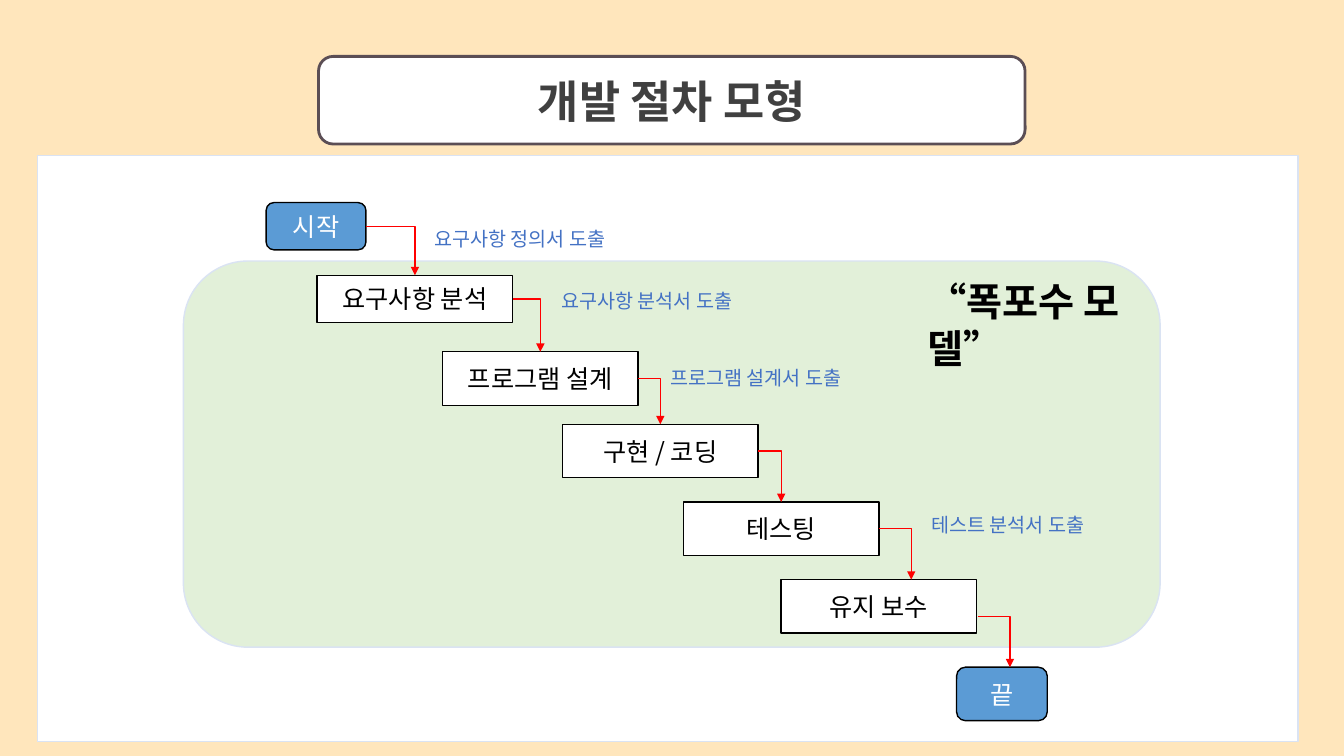
"""Build the waterfall development model slide."""
import dataclasses

import lxml.etree
import pptx
import pptx.dml.color
import pptx.enum.shapes
import pptx.enum.text
import pptx.oxml.ns
import pptx.util

Pt = pptx.util.Pt
Color = pptx.dml.color.RGBColor.from_string
Shapes = pptx.enum.shapes.MSO_SHAPE
qn = pptx.oxml.ns.qn


@dataclasses.dataclass(frozen=True)
class Theme:
    font: str = "Noto Sans CJK KR"
    background: str = "FFE6BC"
    white: str = "FFFFFF"
    black: str = "000000"
    panel_line: str = "DAE3F3"
    title_line: str = "5B4E55"
    title_text: str = "404040"
    phase_area: str = "E2F0D9"
    terminal: str = "5B9BD5"
    arrow: str = "FF0000"
    output: str = "4472C4"
    title_size: int = 32
    model_size: int = 28
    step_size: int = 18
    output_size: int = 14


theme = Theme()
presentation = pptx.Presentation()
presentation.slide_width = Pt(960)
presentation.slide_height = Pt(540)
slide = presentation.slides.add_slide(presentation.slide_layouts[5])
slide.background.fill.solid()
slide.background.fill.fore_color.rgb = Color(theme.background)


def add_box(kind, box, fill, line, width=1):
    shape = slide.shapes.add_shape(kind, *map(Pt, box))
    shape.shadow.inherit = False
    shape.fill.solid()
    shape.fill.fore_color.rgb = Color(fill)
    shape.line.color.rgb = Color(line)
    shape.line.width = Pt(width)
    return shape


def write(shape, text, size, color, bold=False, centered=True):
    frame = shape.text_frame
    paragraph = frame.paragraphs[0]
    if centered:
        frame.vertical_anchor = pptx.enum.text.MSO_ANCHOR.MIDDLE
        paragraph.alignment = pptx.enum.text.PP_ALIGN.CENTER
    run = paragraph.add_run()
    run.text = text
    run.font.size = Pt(size)
    run.font.bold = bold
    run.font.color.rgb = Color(color)
    run.font.name = theme.font
    east_asian = lxml.etree.SubElement(run.font._element, qn("a:ea"))
    east_asian.set("typeface", theme.font)


add_box(Shapes.RECTANGLE, (26.6, 110.9, 900.7, 419), theme.white, theme.panel_line)

title_box = (227.5, 40.3, 504.7, 62.6)
add_box(Shapes.ROUNDED_RECTANGLE, title_box, theme.white, theme.title_line, 2)
title = slide.shapes.title
title.left, title.top, title.width, title.height = map(Pt, title_box)
write(title, "개발 절차 모형", theme.title_size, theme.title_text, bold=True)
slide.shapes._spTree.append(title._element)

add_box(Shapes.ROUNDED_RECTANGLE, (131, 186.5, 697.7, 275.8), theme.phase_area, theme.panel_line)

step_width, step_height, first_height = 139.7, 38.2, 33.8
terminal_style = (Shapes.ROUNDED_RECTANGLE, theme.terminal, theme.white)
step_style = (Shapes.RECTANGLE, theme.white, theme.black)
stages = [
    ("시작", (190.1, 144.7, 71.3, first_height), terminal_style),
    ("요구사항 분석", (226.5, 196.6, step_width, first_height), step_style),
    ("프로그램 설계", (316.1, 251.3, step_width, step_height), step_style),
    ("구현 / 코딩", (401.8, 303.1, step_width, step_height), step_style),
    ("테스팅", (488.2, 358.6, step_width, step_height), step_style),
    ("유지 보수", (558, 414, step_width, step_height), step_style),
    ("끝", (683.3, 476.6, 64.8, step_height), terminal_style),
]
nodes = []
for text, box, (kind, fill, color) in stages:
    node = add_box(kind, box, fill, theme.black)
    write(node, text, theme.step_size, color)
    nodes.append(node)

free_arrows = {"유지 보수": (627.9, 377.7, 650.9, 414), "끝": (698.4, 440.6, 721.4, 476.6)}
for source, target in zip(nodes, nodes[1:]):
    ends = free_arrows.get(target.text_frame.text, (0, 0, 0, 0))
    arrow = slide.shapes.add_connector(pptx.enum.shapes.MSO_CONNECTOR.ELBOW, *map(Pt, ends))
    if target.text_frame.text not in free_arrows:
        arrow.begin_connect(source, 3)
        arrow.end_connect(target, 0)
    arrow.line.color.rgb = Color(theme.arrow)
    arrow.line.width = Pt(1)
    properties = arrow._element.spPr
    properties.find(qn("a:prstGeom")).set("prst", "bentConnector2")
    head = lxml.etree.SubElement(properties.find(qn("a:ln")), qn("a:tailEnd"))
    head.set("type", "triangle")
    lxml.etree.SubElement(properties, qn("a:effectLst"))

outputs = [
    ("요구사항 정의서 도출", 303.1, 158.4),
    ("요구사항 분석서 도출", 393.8, 203),
    ("프로그램 설계서 도출", 471.6, 257.8),
    ("테스트 분석서 도출", 658.1, 362.9),
]
for text, left, top in outputs:
    label = slide.shapes.add_textbox(Pt(left), Pt(top), Pt(step_width), Pt(24.5))
    label.text_frame.word_wrap = False
    write(label, text, theme.output_size, theme.output, centered=False)

model_name = slide.shapes.add_textbox(Pt(655.2), Pt(194.4), Pt(190.8), Pt(41))
model_name.text_frame.word_wrap = True
write(model_name, "“폭포수 모델”", theme.model_size, theme.black, bold=True, centered=False)

presentation.save("out.pptx")
